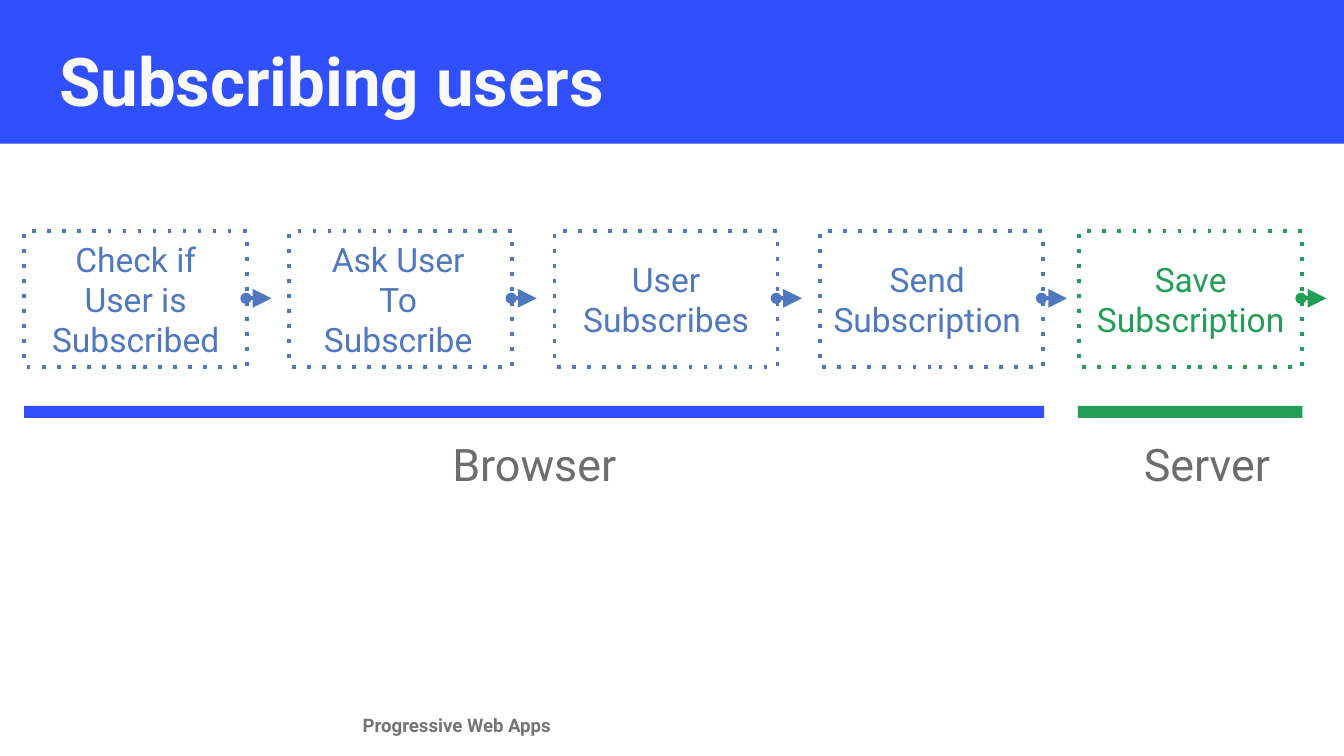
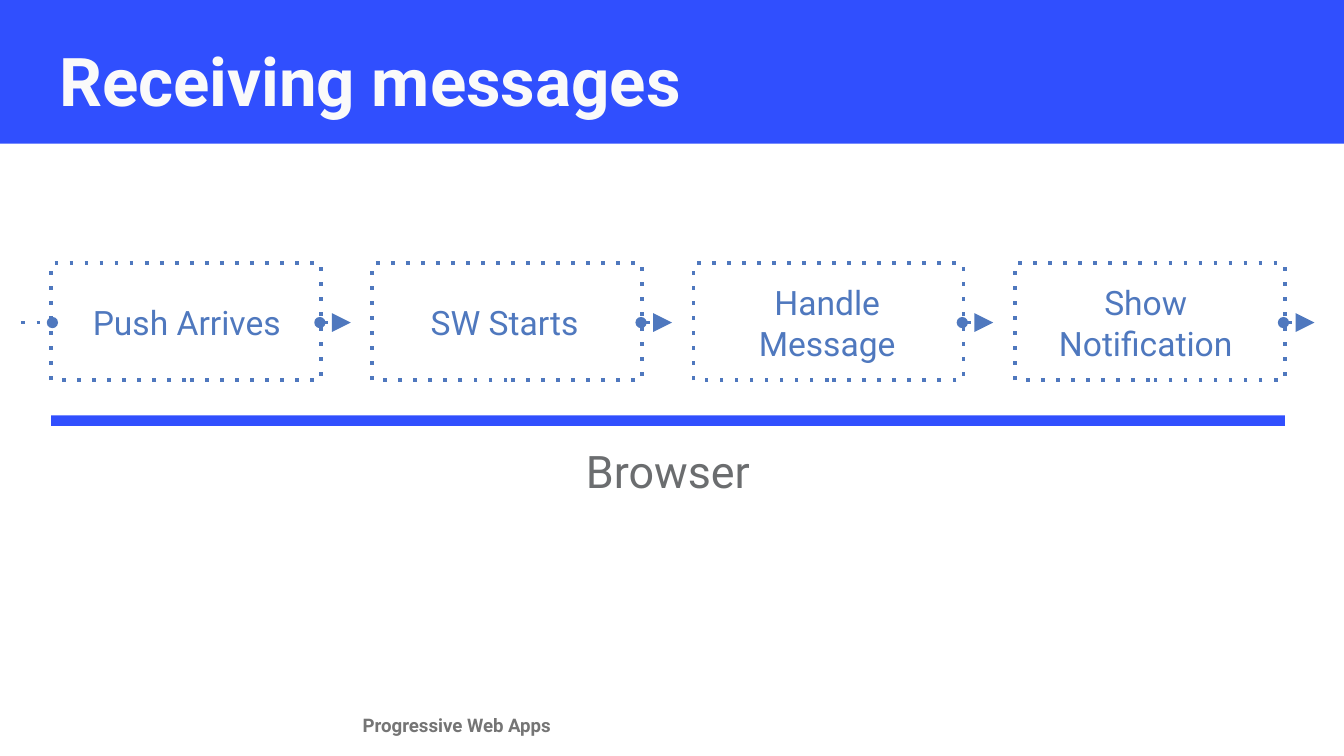
from dataclasses import dataclass

from lxml.etree import SubElement
from pptx import Presentation
from pptx.dml.color import RGBColor
from pptx.enum.shapes import MSO_CONNECTOR, MSO_SHAPE
from pptx.enum.text import MSO_ANCHOR, MSO_AUTO_SIZE, PP_ALIGN
from pptx.oxml.ns import qn
from pptx.util import Inches, Pt

FONT = "Roboto"
BAND = "304FFE"
BAR = "314FFE"
BLUE = "4F78BE"
GREEN = "229E58"
GREY = "6B6D6F"
FOOTER = "757575"
TITLE = "FAFAFA"
OVAL = {"type": "oval"}
TRIANGLE = {"type": "triangle", "w": "lg", "len": "lg"}


@dataclass
class Step:
    label: str
    left: float
    text_inset: float
    text_width: float
    color: str = BLUE


@dataclass
class Track:
    label: str
    color: str
    left: float
    width: float
    text_left: float
    text_width: float
    indent: float = 0


@dataclass
class Flow:
    title: str
    steps: list[Step]
    tracks: list[Track]
    top: float
    width: float
    height: float
    text_top: float
    text_height: float
    arrow_y: float
    arrow_length: float
    bar_top: float
    bar_height: float
    label_top: float
    label_height: float
    entry: bool = False


def spread(first: float, last: float, count: int) -> list[float]:
    return [first + i * (last - first) / (count - 1) for i in range(count)]


def rgb(color: str) -> RGBColor:
    return RGBColor.from_string(color)


def box(left: float, top: float, width: float, height: float) -> tuple:
    return Inches(left), Inches(top), Inches(width), Inches(height)


def write(sp, text: str, size: int, color: str, bold: bool = False,
          align=PP_ALIGN.LEFT, anchor=MSO_ANCHOR.TOP, margin: float = 0.1):
    tf = sp.text_frame
    tf.word_wrap = True
    tf.auto_size = MSO_AUTO_SIZE.NONE
    tf.vertical_anchor = anchor
    tf.margin_left = tf.margin_right = Inches(margin)
    tf.margin_top = tf.margin_bottom = Inches(margin)
    p = tf.paragraphs[0]
    p.text = text
    p.alignment = align
    for r in p.runs:
        r.font.name = FONT
        r.font.size = Pt(size)
        r.font.bold = bold
        r.font.color.rgb = rgb(color)
    return p


def add_bar(shapes, place: tuple, color: str):
    sp = shapes.add_shape(MSO_SHAPE.RECTANGLE, *place)
    sp.shadow.inherit = False
    sp.fill.solid()
    sp.fill.fore_color.rgb = rgb(color)
    sp.line.fill.background()
    return sp


def dot_line(sp, color: str, **ends: dict) -> None:
    sp.line.width = Pt(2)
    sp.line.color.rgb = rgb(color)
    ln = sp.element.spPr.find(qn("a:ln"))
    SubElement(ln, qn("a:prstDash"), val="dot")
    for end, attributes in ends.items():
        SubElement(ln, qn(f"a:{end}"), attributes)


def add_arrow(shapes, left: float, right: float, y: float, color: str, **ends: dict) -> None:
    cxn = shapes.add_connector(MSO_CONNECTOR.STRAIGHT, Inches(left), Inches(y),
                               Inches(right), Inches(y))
    dot_line(cxn, color, **ends)
    SubElement(cxn.element.spPr, qn("a:effectLst"))


def add_step(s, flow: Flow, step: Step) -> None:
    shapes = s.shapes.add_group_shape().shapes
    tb = shapes.add_textbox(*box(step.left + step.text_inset, flow.text_top,
                                 step.text_width, flow.text_height))
    write(tb, step.label, 18, step.color, align=PP_ALIGN.CENTER,
          anchor=MSO_ANCHOR.MIDDLE, margin=0.03)
    sp = shapes.add_shape(MSO_SHAPE.RECTANGLE,
                          *box(step.left, flow.top, flow.width, flow.height))
    sp.shadow.inherit = False
    sp.fill.background()
    dot_line(sp, step.color)
    start = step.left + flow.width - 0.01
    add_arrow(shapes, start, start + flow.arrow_length, flow.arrow_y, step.color,
              headEnd=OVAL, tailEnd=TRIANGLE)
    if flow.entry and step is flow.steps[0]:
        end = step.left + 0.01
        add_arrow(shapes, end - flow.arrow_length, end, flow.arrow_y, step.color,
                  tailEnd=OVAL)


def add_track(s, flow: Flow, track: Track) -> None:
    add_bar(s.shapes, box(track.left, flow.bar_top, track.width, flow.bar_height), track.color)
    tb = s.shapes.add_textbox(*box(track.text_left, flow.label_top,
                                   track.text_width, flow.label_height))
    p = write(tb, track.label, 24, GREY, align=PP_ALIGN.CENTER, margin=0.03)
    if track.indent:
        p.level = 1
        pPr = tb.element.find(".//" + qn("a:pPr"))
        pPr.set("marL", "0")
        pPr.set("indent", str(Inches(track.indent)))


def style_layout(layout, s) -> None:
    for ph in list(layout.placeholders):
        if ph.placeholder_format.idx:
            ph.element.getparent().remove(ph.element)
        else:
            ph.left, ph.top, ph.width, ph.height = box(0.34, 0.19, 9.32, 0.63)
    footer = s.shapes.add_textbox(*box(2.6, 5.21, 5.79, 0.25))
    write(footer, "Progressive Web Apps", 10, FOOTER, bold=True)
    band = add_bar(s.shapes, box(-0.01, -0.04, 10.01, 1.11), BAND)
    title = layout.placeholders[0].element
    for sp in (footer, band):
        title.addprevious(sp.element)


def add_flow(s, flow: Flow) -> None:
    write(s.shapes.title, flow.title, 36, TITLE, bold=True)
    for track in flow.tracks:
        add_track(s, flow, track)
    for step in flow.steps:
        add_step(s, flow, step)


def subscribing() -> Flow:
    lefts = spread(0.18, 6.1, 4)
    return Flow(
        "Subscribing users",
        [Step("Check if User is Subscribed", lefts[0], 0.07, 1.52),
         Step("Ask User\nTo Subscribe", lefts[1], 0.08, 1.46),
         Step("User\nSubscribes", lefts[2], 0.1, 1.46),
         Step("Send Subscription", lefts[3], 0.07, 1.46),
         Step("Save Subscription", 8.03, 0.1, 1.46, GREEN)],
        [Track("Browser", BAR, 0.18, 7.59, 2.53, 2.89),
         Track("Server", GREEN, 8.02, 1.67, 8.05, 1.61, indent=0.25)],
        top=1.72, width=1.66, height=1.01, text_top=1.8, text_height=0.85,
        arrow_y=2.22, arrow_length=0.19,
        bar_top=3.02, bar_height=0.09, label_top=3.22, label_height=1.61)


def receiving() -> Flow:
    lefts = spread(0.38, 7.55, 4)
    return Flow(
        "Receiving messages",
        [Step("Push Arrives", lefts[0], 0.09, 1.84),
         Step("SW Starts", lefts[1], 0.1, 1.77),
         Step("Handle\nMessage", lefts[2], 0.11, 1.77),
         Step("Show Notification", lefts[3], 0.09, 1.77)],
        [Track("Browser", BAR, 0.38, 9.18, 3.22, 3.5)],
        top=1.96, width=2.01, height=0.87, text_top=2.03, text_height=0.74,
        arrow_y=2.4, arrow_length=0.23,
        bar_top=3.09, bar_height=0.08, label_top=3.27, label_height=1.4,
        entry=True)


def main() -> None:
    prs = Presentation()
    prs.slide_width = Inches(10)
    prs.slide_height = prs.slide_width * 9 // 16
    layout = prs.slide_layouts[5]
    for i, flow in enumerate((subscribing(), receiving())):
        s = prs.slides.add_slide(layout)
        if i == 0:
            style_layout(layout, s)
        add_flow(s, flow)
    prs.save("out.pptx")


if __name__ == "__main__":
    main()
